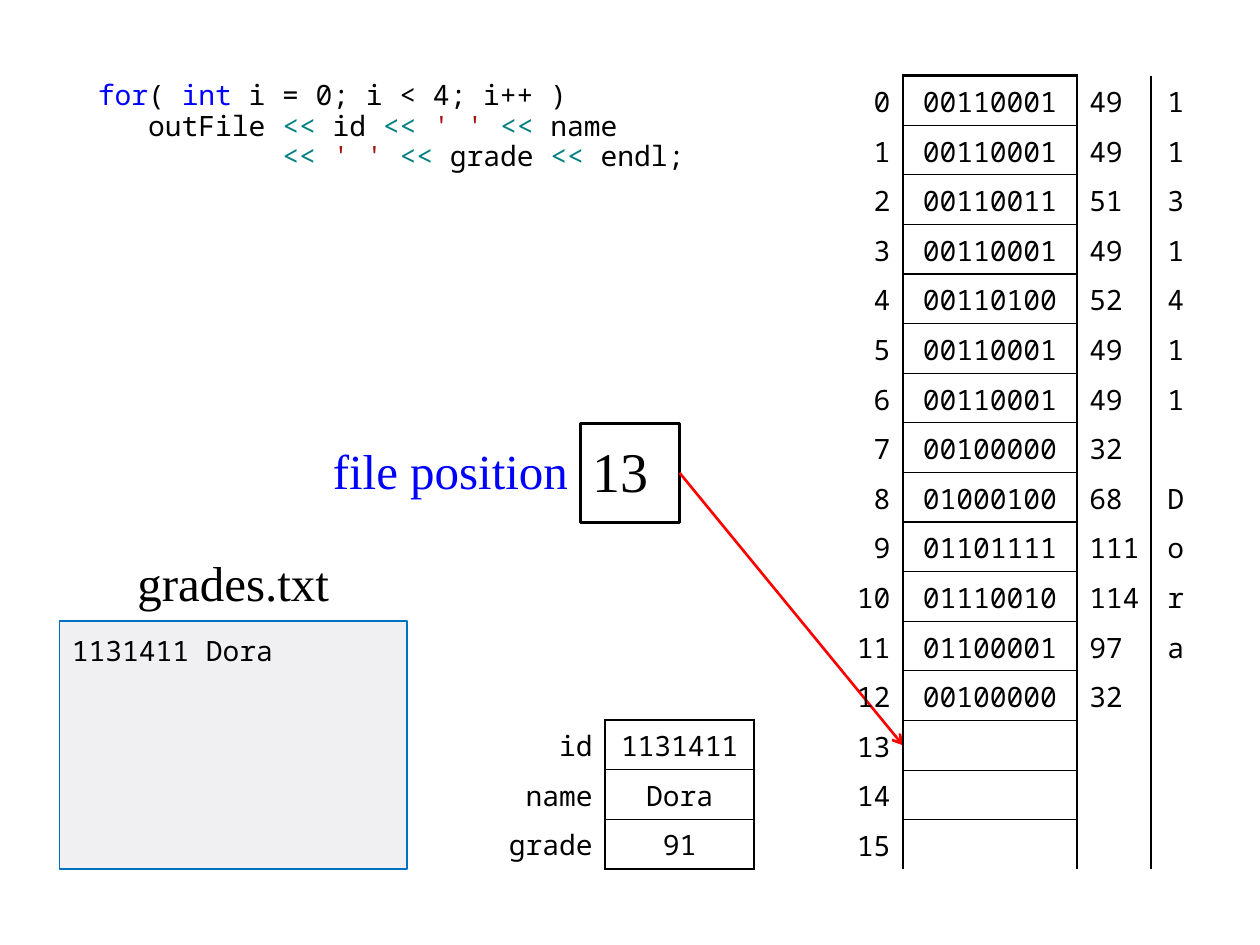
"""Build a slide showing how a file's text is stored byte by byte in memory."""
from dataclasses import dataclass
from typing import Optional

from lxml import etree
from pptx import Presentation
from pptx import util as u
from pptx.dml.color import RGBColor
from pptx.enum import shapes, text
from pptx.oxml import ns

LEFT, CENTER, RIGHT = text.PP_ALIGN.LEFT, text.PP_ALIGN.CENTER, text.PP_ALIGN.RIGHT
TOP, MIDDLE = text.MSO_ANCHOR.TOP, text.MSO_ANCHOR.MIDDLE


@dataclass(frozen=True)
class Theme:
    mono: str = "Noto Sans Mono"
    serif: str = "Times New Roman"
    code_size: float = 16
    label_size: float = 28
    number_size: float = 32
    black: str = "000000"
    blue: str = "0000FF"
    teal: str = "008080"
    brown: str = "A31515"
    red: str = "FF0000"
    file_fill: str = "F0F0F2"
    file_line: str = "0070C0"
    thin: float = 0.75
    thick: float = 1.5


THEME = Theme()
UNIT = 28.35
NO_GRID_STYLE = "{2D5ABB26-0587-4C30-8999-92F81FD0307C}"


@dataclass(frozen=True)
class Box:
    left: float
    top: float
    width: float
    height: float

    def lengths(self) -> list:
        return [u.Pt(value) for value in (self.left, self.top, self.width, self.height)]


@dataclass(frozen=True)
class Style:
    font: str = THEME.mono
    size: float = THEME.code_size
    color: str = THEME.black
    align: text.PP_ALIGN = LEFT
    anchor: text.MSO_ANCHOR = MIDDLE
    margins: tuple = (7.2, 3.6, 7.2, 3.6)
    wrap: bool = True


@dataclass(frozen=True)
class Column:
    width: float
    style: Style
    boxed: bool = False


def set_margins(target, margins: tuple) -> None:
    target.margin_left, target.margin_top, target.margin_right, target.margin_bottom = map(u.Pt, margins)


def style_paragraph(paragraph, style: Style) -> None:
    paragraph.alignment = style.align
    paragraph.font.name = style.font
    paragraph.font.size = u.Pt(style.size)
    paragraph.font.color.rgb = RGBColor.from_string(style.color)


def write(shape, content: str, style: Style) -> None:
    frame = shape.text_frame
    frame.word_wrap = style.wrap
    frame.vertical_anchor = style.anchor
    set_margins(frame, style.margins)
    frame.text = content
    style_paragraph(frame.paragraphs[0], style)


def add_label(slide, box: Box, content: str, style: Style) -> None:
    write(slide.shapes.add_textbox(*box.lengths()), content, style)


def add_panel(slide, box: Box, content: str, style: Style, line: str, width: float, fill: Optional[str] = None) -> None:
    shape = slide.shapes.add_shape(shapes.MSO_SHAPE.RECTANGLE, *box.lengths())
    shape.shadow.inherit = False
    if fill:
        shape.fill.solid()
        shape.fill.fore_color.rgb = RGBColor.from_string(fill)
    else:
        shape.fill.background()
    shape.line.color.rgb = RGBColor.from_string(line)
    shape.line.width = u.Pt(width)
    write(shape, content, style)


def add_code(slide, box: Box, lines: list) -> None:
    frame = slide.shapes.add_textbox(*box.lengths()).text_frame
    frame.word_wrap = True
    for index, pieces in enumerate(lines):
        paragraph = frame.add_paragraph() if index else frame.paragraphs[0]
        paragraph.line_spacing = 0.9
        style_paragraph(paragraph, Style())
        for content, color in pieces:
            run = paragraph.add_run()
            run.text = content
            run.font.color.rgb = RGBColor.from_string(color)


def add_arrow(slide, start: tuple, end: tuple) -> None:
    connector = slide.shapes.add_connector(shapes.MSO_CONNECTOR.STRAIGHT, *map(u.Pt, start + end))
    connector.line.color.rgb = RGBColor.from_string(THEME.red)
    connector.line.width = u.Pt(THEME.thick)
    etree.SubElement(connector.line._get_or_add_ln(), ns.qn("a:tailEnd"), type="arrow")
    etree.SubElement(connector._element.spPr, ns.qn("a:effectLst"))


def set_borders(cell, borders: dict) -> None:
    properties = cell._tc.get_or_add_tcPr()
    sides = [side for side in "LRTB" if side in borders]
    for index, side in enumerate(sides):
        line = etree.Element(ns.qn(f"a:ln{side}"), w=str(u.Pt(borders[side])))
        fill = etree.SubElement(line, ns.qn("a:solidFill"))
        etree.SubElement(fill, ns.qn("a:srgbClr"), val=THEME.black)
        properties.insert(index, line)


def cell_borders(columns: list, row: int, column: int, count: int, closed: bool) -> dict:
    if columns[column].boxed:
        borders = {"L": THEME.thick, "R": THEME.thick, "T": THEME.thin if row else THEME.thick}
        if row < count - 1:
            borders["B"] = THEME.thin
        elif closed:
            borders["B"] = THEME.thick
        return borders
    if column and columns[column - 1].boxed:
        return {"L": THEME.thick}
    if column + 1 < len(columns) and columns[column + 1].boxed:
        return {"R": THEME.thick}
    return {}


def add_grid(slide, left: float, top: float, columns: list, rows: list, closed: bool) -> None:
    box = Box(left, top, sum(column.width for column in columns), UNIT * len(rows))
    table = slide.shapes.add_table(len(rows), len(columns), *box.lengths()).table
    table.first_row = table.horz_banding = False
    table._tbl.tblPr.find(ns.qn("a:tableStyleId")).text = NO_GRID_STYLE
    for index, column in enumerate(columns):
        table.columns[index].width = u.Pt(column.width)
    for row, values in enumerate(rows):
        table.rows[row].height = u.Pt(UNIT)
        for index, (column, value) in enumerate(zip(columns, values)):
            cell = table.cell(row, index)
            cell.text = value
            cell.fill.background()
            cell.vertical_anchor = column.style.anchor
            set_margins(cell, column.style.margins)
            style_paragraph(cell.text_frame.paragraphs[0], column.style)
            set_borders(cell, cell_borders(columns, row, index, len(rows), closed))


def memory_rows(stored: str, count: int) -> list:
    used = [(f"{ord(char):08b}", str(ord(char)), char.strip()) for char in stored]
    unused = [("", "", "")] * (count - len(stored))
    return [(str(address), *values) for address, values in enumerate(used + unused)]


def main() -> None:
    presentation = Presentation()
    presentation.slide_width, presentation.slide_height = u.Pt(720), u.Pt(540)
    slide = presentation.slides.add_slide(presentation.slide_layouts[6])
    black, blue, teal, brown = THEME.black, THEME.blue, THEME.teal, THEME.brown
    add_code(slide, Box(48.9, 43.2, 353.5, 70.6), [
        [("for", blue), ("( ", black), ("int", blue), (" i = 0; i < 4; i++ )", black)],
        [("   outFile ", black), ("<<", teal), (" id ", black), ("<< ", teal),
         ("' ' ", brown), ("<<", teal), (" name", black)],
        [("           ", black), ("<< ", teal), ("' ' ", brown), ("<<", teal),
         (" grade ", black), ("<<", teal), (" endl;", black)],
    ])

    position, memory_top, memory_left = 13, 43.2, 473.5
    address_width = 1.5 * UNIT
    position_box = Box(331.7, 241.9, 2 * UNIT, 2 * UNIT)
    add_panel(slide, Box(34, 354.8, 7 * UNIT, 5 * UNIT), "1131411 Dora",
              Style(anchor=TOP, margins=(7.2,) * 4), THEME.file_line, 1, THEME.file_fill)
    add_label(slide, Box(62.4, 312.3, 5 * UNIT, 1.5 * UNIT), "grades.txt",
              Style(THEME.serif, THEME.label_size, align=CENTER, anchor=TOP, wrap=False))
    add_panel(slide, position_box, str(position),
              Style(THEME.serif, THEME.number_size, margins=(7.2, 0, 7.2, 2.9)), black, THEME.thick)
    add_arrow(slide, (position_box.left + position_box.width, position_box.top + UNIT),
              (memory_left + address_width, memory_top + (position + 0.5) * UNIT))

    variables = [Column(2.5 * UNIT, Style(align=RIGHT)), Column(3 * UNIT, Style(align=CENTER), True)]
    add_grid(slide, 275, 411.6, variables, [("id", "1131411"), ("name", "Dora"), ("grade", "91")], True)
    tight = (7.2, 1.4, 7.2, 0)
    memory = [
        Column(address_width, Style(align=RIGHT, margins=tight)),
        Column(3.5 * UNIT, Style(align=CENTER, margins=tight), True),
        Column(1.5 * UNIT, Style(margins=(7.2, 1.4, 5.8, 0))),
        Column(UNIT, Style(align=CENTER, margins=tight)),
    ]
    add_grid(slide, memory_left, memory_top, memory, memory_rows("1131411 Dora ", 16), False)
    add_label(slide, Box(175.7, 241.9, 5.5 * UNIT, 2 * UNIT), "file position",
              Style(THEME.serif, THEME.label_size, blue, RIGHT, margins=(7.2, 0, 7.2, 3.6)))
    presentation.save("out.pptx")


if __name__ == "__main__":
    main()
